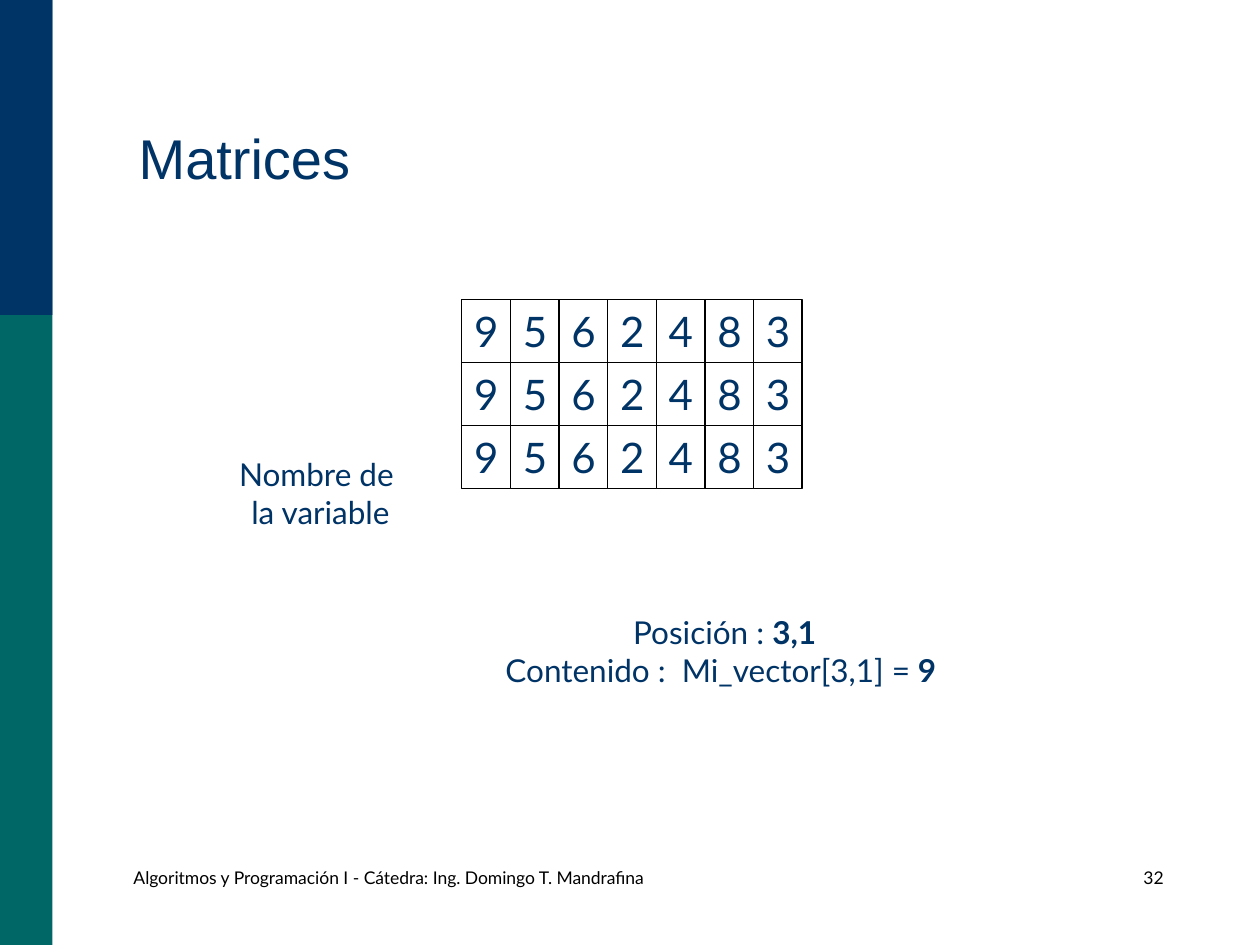
"""Build the slide on matrices: a grid of values with two callouts."""
import pptx
import pptx.util
import pptx.dml.color
import pptx.enum.shapes
import pptx.enum.text

Cm, Pt = pptx.util.Cm, pptx.util.Pt
ALIGN = pptx.enum.text.PP_ALIGN
ANCHOR = pptx.enum.text.MSO_ANCHOR
SHAPE = pptx.enum.shapes.MSO_SHAPE

COLORS = {"navy": "003366", "teal": "006666", "white": "FFFFFF", "black": "000000"}

TITLE = "Matrices"
MATRIX = [[9, 5, 6, 2, 4, 8, 3]] * 3
GRID_LEFT, GRID_TOP, CELL_W, CELL_H = 9.31, 6.04, 0.98, 1.27
BARS = [("teal", 19.05), ("navy", 6.35)]
CALLOUTS = [
    ((4.45, 8.57, 4.02, 2.75), (-0.056, -1.107),
     [[("Nombre de ", False)], [("la variable", False)]]),
    ((9.74, 12.38, 9.74, 1.48), (-0.496, -2.101),
     [[("Posición : ", False), ("3,1", True)],
      [("Contenido :  Mi_vector[3,1] =", False), (" 9 ", True)]]),
]
FOOTERS = [
    ((3.81, 17.36, 8.05, 1.27), ALIGN.CENTER,
     "Algoritmos y Programación I - Cátedra: Ing. Domingo T. Mandrafina"),
    ((18.42, 17.36, 5.29, 1.27), ALIGN.RIGHT, "32"),
]


def rgb(name):
    return pptx.dml.color.RGBColor.from_string(COLORS[name])


def write(sp, paragraphs, size=18, font="Lato", color="navy", align=ALIGN.LEFT,
          anchor=ANCHOR.TOP, wrap=False, before=0, spacing=None):
    """Fill a shape with paragraphs of (text, bold) runs."""
    tf = sp.text_frame
    tf.word_wrap, tf.vertical_anchor = wrap, anchor
    tf.auto_size = pptx.enum.text.MSO_AUTO_SIZE.NONE
    for i, runs in enumerate(paragraphs):
        p = tf.add_paragraph() if i else tf.paragraphs[0]
        p.alignment, p.space_before, p.line_spacing = align, Pt(before), spacing
        for text, bold in runs:
            r = p.add_run()
            r.text = text
            r.font.size, r.font.name, r.font.bold = Pt(size), font, bold
            r.font.color.rgb = rgb(color)


def add_box(shapes, kind, box, fill, line=None):
    """Add a filled preset shape, with an outline if a colour is given."""
    sp = shapes.add_shape(kind, *map(Cm, box))
    sp.shadow.inherit = False
    sp.fill.solid()
    sp.fill.fore_color.rgb = rgb(fill)
    if line:
        sp.line.color.rgb = rgb(line)
        sp.line.width = Pt(0.74)
    else:
        sp.line.fill.background()
    return sp


prs = pptx.Presentation()
prs.slide_width, prs.slide_height = Cm(25.4), Cm(19.05)
s = prs.slides.add_slide(prs.slide_layouts[5])

for color, height in BARS:
    add_box(s.shapes, SHAPE.RECTANGLE, (0, 0, 1.06, height), color)

title = s.shapes.title
title.left, title.top, title.width, title.height = map(Cm, (2.54, 1.69, 20.32, 3.18))
write(title, [[(TITLE, False)]], size=32, font="Arial", anchor=ANCHOR.MIDDLE,
      wrap=True, spacing=0.85)

for box, align, text in FOOTERS:
    sp = s.shapes.add_textbox(*map(Cm, box))
    write(sp, [[(text, False)]], size=10, color="black", align=align, before=2.5)

for i, row in enumerate(MATRIX):
    group = s.shapes.add_group_shape()
    for j, value in enumerate(row):
        box = (GRID_LEFT + j * CELL_W, GRID_TOP + i * CELL_H, CELL_W, CELL_H)
        sp = add_box(group.shapes, SHAPE.RECTANGLE, box, "white", "black")
        write(sp, [[(str(value), False)]], size=24)

for box, tip, paragraphs in CALLOUTS:
    sp = add_box(s.shapes, SHAPE.RECTANGULAR_CALLOUT, box, "white", "white")
    sp.adjustments[0], sp.adjustments[1] = tip
    write(sp, paragraphs, align=ALIGN.CENTER, anchor=ANCHOR.MIDDLE)

prs.save("out.pptx")
